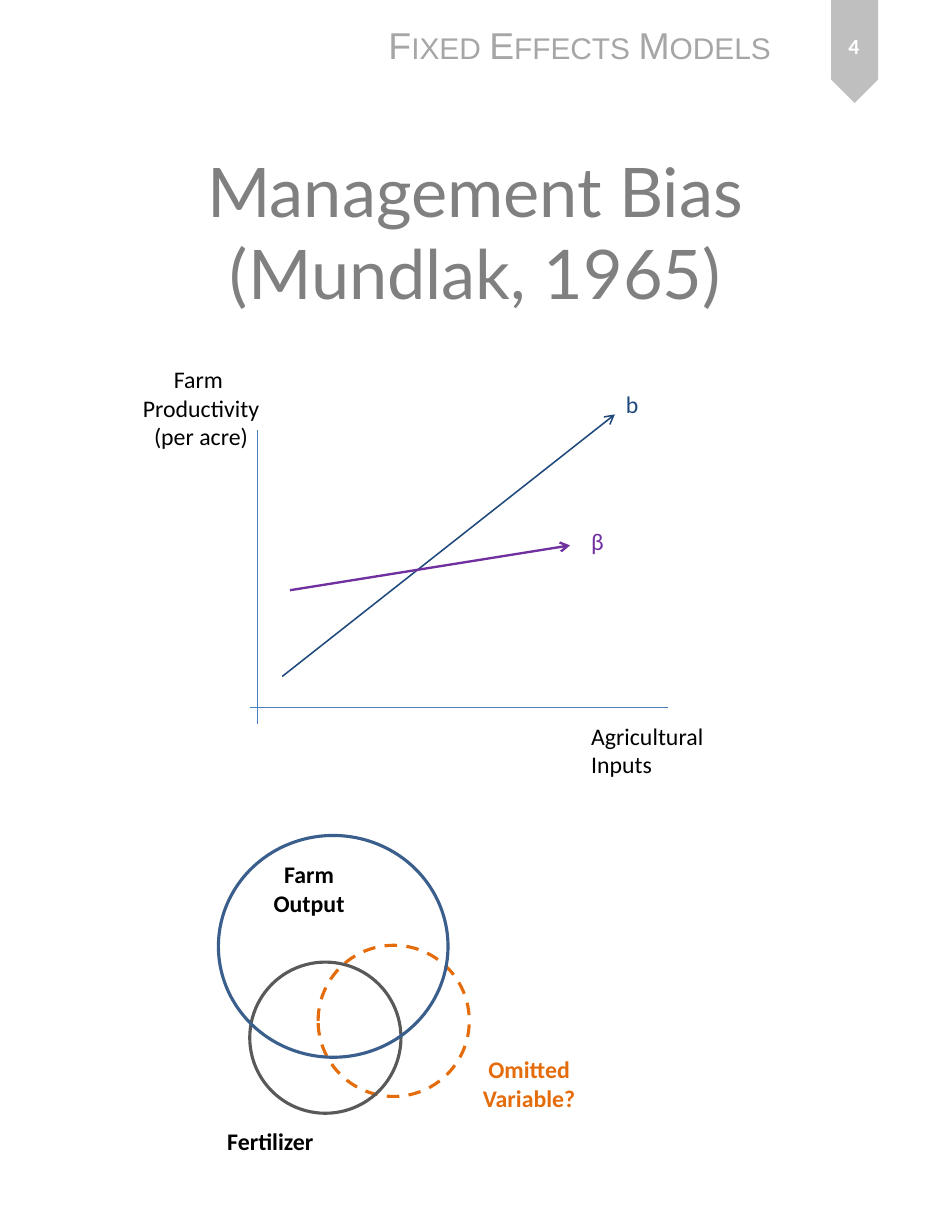
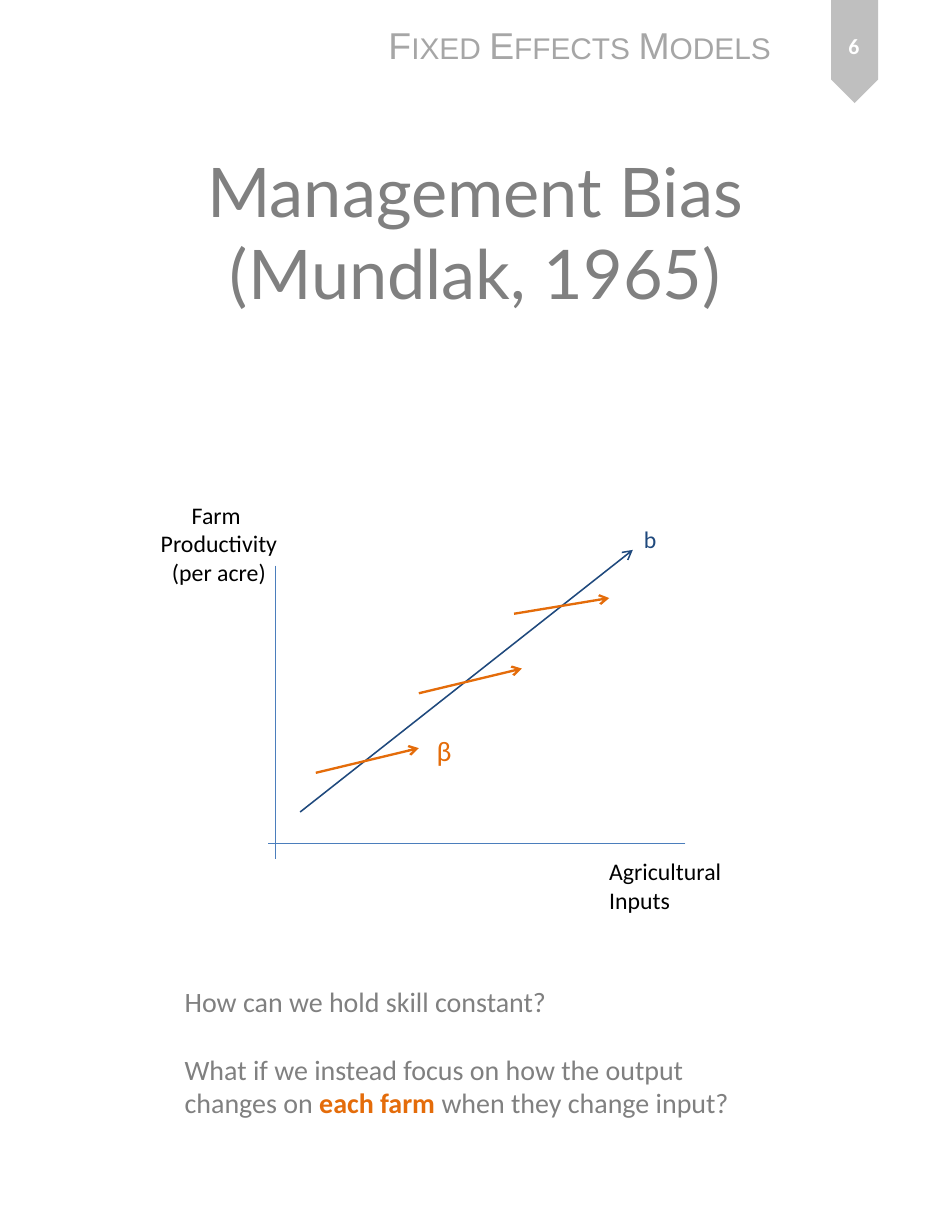
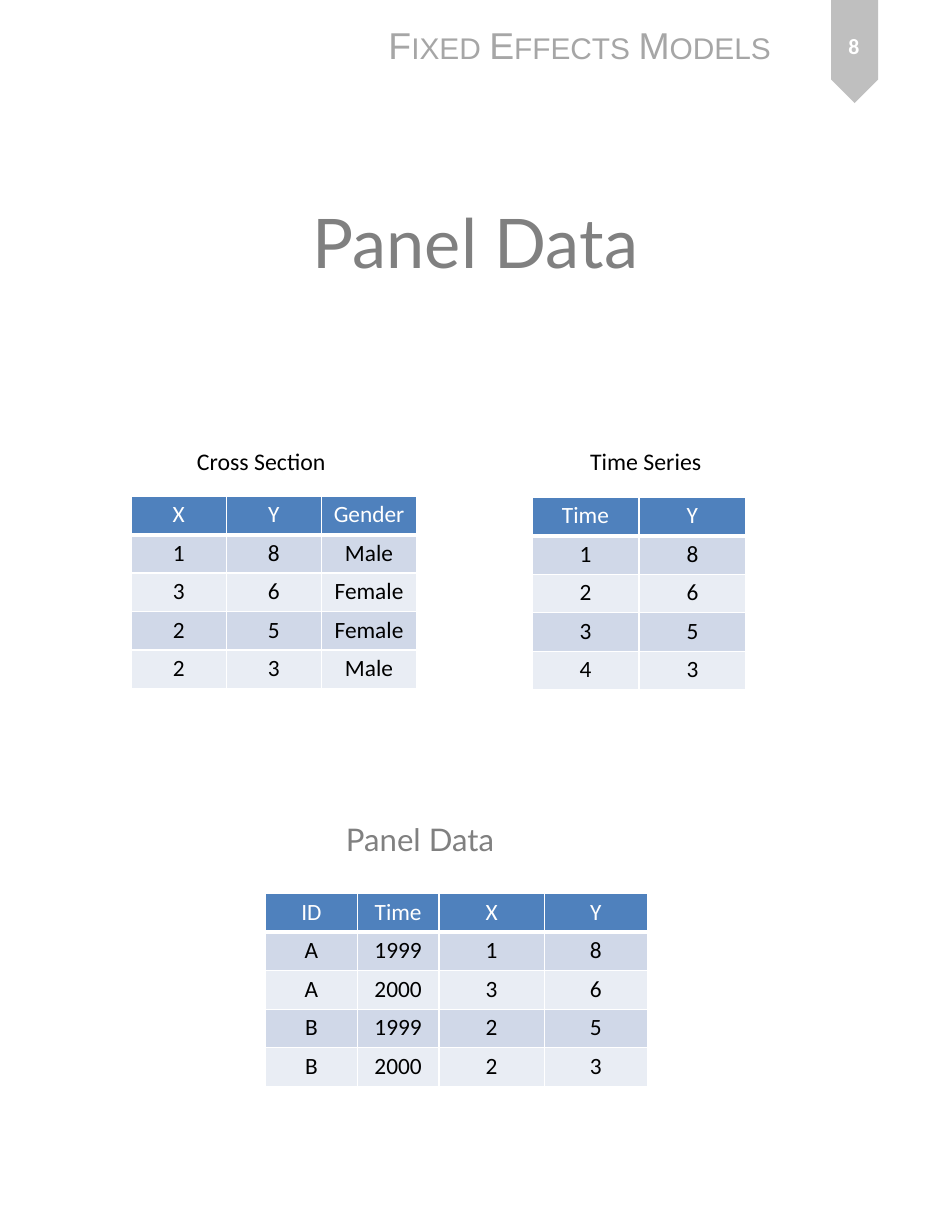
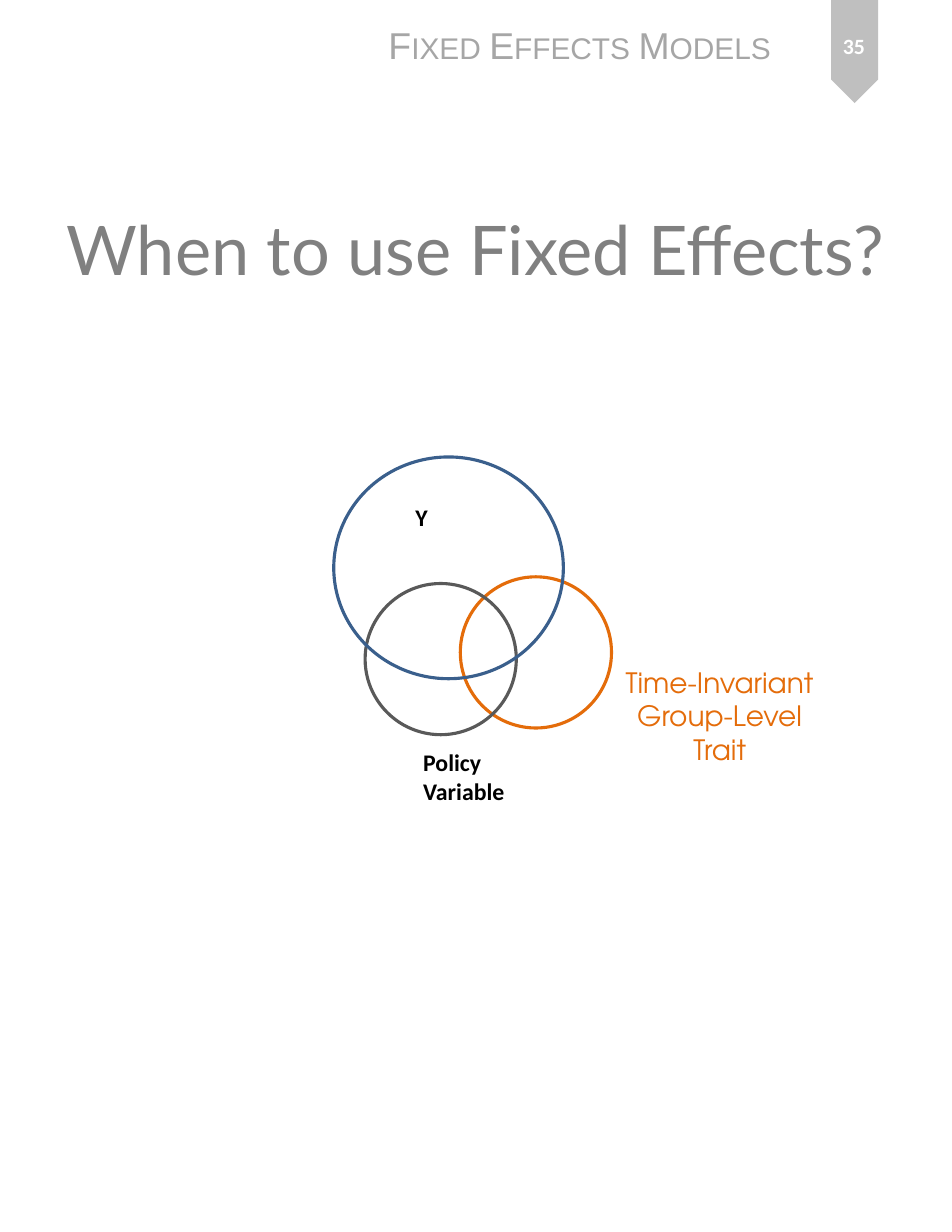
from lxml.etree import SubElement
from pptx import Presentation
from pptx.dml.color import RGBColor
from pptx.enum.dml import MSO_LINE
from pptx.enum.shapes import MSO_CONNECTOR, MSO_SHAPE
from pptx.enum.text import MSO_ANCHOR, PP_ALIGN
from pptx.oxml.ns import qn
from pptx.util import Inches, Pt

BLACK = "000000"
WHITE = "FFFFFF"
GRAY = "808080"
HEADER_GRAY = "A6A6A6"
RIBBON_GRAY = "BFBFBF"
DARK_GRAY = "595959"
ORANGE = "E46C0A"
PURPLE = "7030A0"
NAVY = "1F497D"
AXIS_BLUE = "4B7EBC"
CIRCLE_BLUE = "3A5F8C"
TABLE_BLUE = "4F81BD"
BANDS = ["D0D8E8", "E9EDF4"]

BODY_FONT = "Calibri"
TITLE_FONT = "Lato"
LABEL_SIZE = 15.3
ROW_HEIGHT = 0.344


def color(value):
    return RGBColor.from_string(value)


def format_run(run, size, shade, font, bold=False):
    run.font.size = Pt(size)
    run.font.color.rgb = color(shade)
    run.font.name = font
    run.font.bold = bold


def add_text(slide, box, lines, size=LABEL_SIZE, shade=BLACK, font=BODY_FONT,
             bold=False, align=PP_ALIGN.LEFT, anchor=MSO_ANCHOR.TOP, wrap=False):
    frame = slide.shapes.add_textbox(*map(Inches, box)).text_frame
    frame.word_wrap = wrap
    frame.vertical_anchor = anchor
    for index, line in enumerate(lines):
        paragraph = frame.add_paragraph() if index else frame.paragraphs[0]
        paragraph.text = line
        paragraph.alignment = align
        for run in paragraph.runs:
            format_run(run, size, shade, font, bold)
    return frame


def add_line(slide, origin, start, end, shade, width, arrow=False):
    left, top = origin
    points = (left + start[0], top + start[1], left + end[0], top + end[1])
    connector = slide.shapes.add_connector(MSO_CONNECTOR.STRAIGHT, *map(Inches, points))
    connector.line.color.rgb = color(shade)
    connector.line.width = Pt(width)
    if arrow:
        SubElement(connector.line._get_or_add_ln(), qn("a:tailEnd"), type="arrow")
    SubElement(connector._element.spPr, qn("a:effectLst"))


def add_circle(slide, box, shade, dashed=False):
    circle = slide.shapes.add_shape(MSO_SHAPE.OVAL, *map(Inches, box))
    circle.shadow.inherit = False
    circle.fill.background()
    circle.line.color.rgb = color(shade)
    circle.line.width = Pt(2)
    if dashed:
        circle.line.dash_style = MSO_LINE.DASH


def add_page(presentation, title, number, title_top=1.15):
    slide = presentation.slides.add_slide(presentation.slide_layouts[6])
    ribbon = slide.shapes.add_shape(
        MSO_SHAPE.PENTAGON, Inches(7.17), Inches(0.25), Inches(0.92), Inches(0.42))
    ribbon.rotation = 90
    ribbon.shadow.inherit = False
    ribbon.fill.solid()
    ribbon.fill.fore_color.rgb = color(RIBBON_GRAY)
    ribbon.line.fill.background()
    header = add_text(slide, (3.37, 0.15, 3.68, 0.5), ["Fixed Effects Models"],
                      24, HEADER_GRAY, "Arial")
    header.paragraphs[0].runs[0].font._element.set("cap", "small")
    add_text(slide, (0.42, title_top, 7.65, 1.83), [title], 44, GRAY, TITLE_FONT,
             align=PP_ALIGN.CENTER, anchor=MSO_ANCHOR.MIDDLE, wrap=True)
    add_text(slide, (7.29, 0.11, 0.67, 0.59), [str(number)], 14, WHITE, bold=True,
             align=PP_ALIGN.CENTER, anchor=MSO_ANCHOR.MIDDLE, wrap=True)
    return slide


def add_productivity_graph(slide, origin, slopes, slope_shade, beta_box, beta_size):
    left, top = origin
    add_line(slide, origin, (1.13, 0.63), (1.13, 3.25), AXIS_BLUE, 0.75)
    add_line(slide, origin, (4.79, 3.11), (1.06, 3.11), AXIS_BLUE, 0.75)
    add_text(slide, (left + 4.01, top + 3.18, 1.26, 0.62), ["Agricultural \nInputs"])
    add_text(slide, (left, top, 1.25, 0.87), ["Farm \nProductivity\n(per acre)"],
             align=PP_ALIGN.CENTER)
    add_line(slide, origin, (1.35, 2.83), (4.32, 0.49), NAVY, 1, arrow=True)
    for start, end in slopes:
        add_line(slide, origin, start, end, slope_shade, 1.5, arrow=True)
    add_text(slide, (left + 4.32, top + 0.22, 0.31, 0.36), ["b"], shade=NAVY)
    beta_left, beta_top, width, height = beta_box
    add_text(slide, (left + beta_left, top + beta_top, width, height), ["β"],
             beta_size, slope_shade)


def add_venn(slide, origin, third_offset, labels, dashed=False):
    left, top = origin
    add_circle(slide, (left + third_offset[0], top + third_offset[1], 1.35, 1.35),
               ORANGE, dashed)
    add_circle(slide, (left + 0.28, top + 1.13, 1.35, 1.35), DARK_GRAY)
    add_circle(slide, (left, top, 2.05, 1.98), CIRCLE_BLUE)
    for (x, y, width, height), lines, style in labels:
        add_text(slide, (left + x, top + y, width, height), lines, **style)


def set_borders(cell, bottom_width):
    properties = cell._tc.get_or_add_tcPr()
    for side in "LRTB":
        width = bottom_width if side == "B" else 1
        border = SubElement(properties, qn(f"a:ln{side}"), w=str(Pt(width)))
        fill = SubElement(border, qn("a:solidFill"))
        SubElement(fill, qn("a:srgbClr"), val=WHITE)


def add_data_table(slide, origin, widths, rows):
    box = (*origin, sum(widths), ROW_HEIGHT * len(rows))
    table = slide.shapes.add_table(len(rows), len(widths), *map(Inches, box)).table
    for column, width in zip(table.columns, widths):
        column.width = Inches(width)
    for row_index, values in enumerate(rows):
        is_header = row_index == 0
        for column_index, value in enumerate(values):
            cell = table.cell(row_index, column_index)
            set_borders(cell, 3 if is_header else 1)
            cell.fill.solid()
            cell.fill.fore_color.rgb = color(
                TABLE_BLUE if is_header else BANDS[(row_index - 1) % 2])
            cell.margin_left = cell.margin_right = Inches(0.09)
            cell.margin_top = cell.margin_bottom = Inches(0.04)
            paragraph = cell.text_frame.paragraphs[0]
            paragraph.text = value
            paragraph.alignment = PP_ALIGN.CENTER
            format_run(paragraph.runs[0], 15, WHITE if is_header else BLACK, BODY_FONT)


def build_bias_slide(presentation):
    slide = add_page(presentation, "Management Bias (Mundlak, 1965)", 4)
    centered = {"bold": True, "align": PP_ALIGN.CENTER}
    add_venn(slide, (1.95, 7.46), (0.89, 0.98), [
        ((0.39, 0.17, 0.84, 0.62), ["Farm\nOutput"], centered),
        ((2.26, 1.91, 1.03, 0.62), ["Omitted\nVariable?"], {**centered, "shade": ORANGE}),
        ((-0.02, 2.55, 0.98, 0.36), ["Fertilizer"], {"bold": True}),
    ], dashed=True)
    add_productivity_graph(slide, (1.17, 3.21), [((1.42, 2.06), (3.92, 1.66))],
                           PURPLE, (4.01, 1.44, 0.32, 0.36), LABEL_SIZE)


def build_farm_slopes_slide(presentation):
    slide = add_page(presentation, "Management Bias (Mundlak, 1965)", 6)
    farm_slopes = [
        ((1.49, 2.48), (2.41, 2.26)),
        ((2.41, 1.77), (3.33, 1.55)),
        ((3.26, 1.06), (4.11, 0.92)),
    ]
    add_productivity_graph(slide, (1.33, 4.42), farm_slopes, ORANGE,
                           (2.47, 2.08, 0.34, 0.4), 18)
    frame = add_text(slide, (1.55, 8.74, 5.42, 1.31), [
        "How can we hold skill constant?",
        "What if we instead focus on how the output changes on ",
    ], 18, GRAY, wrap=True)
    question = frame.paragraphs[1]
    question.space_before = Pt(22)
    for text, shade, bold in [("each farm ", ORANGE, True),
                              ("when they change input?", GRAY, False)]:
        run = question.add_run()
        run.text = text
        format_run(run, 18, shade, BODY_FONT, bold)


def build_panel_slide(presentation):
    slide = add_page(presentation, "Panel Data", 8, 1.24)
    add_text(slide, (1.66, 3.94, 1.36, 0.36), ["Cross Section"])
    add_text(slide, (5.17, 3.94, 1.2, 0.36), ["Time Series"])
    add_text(slide, (2.99, 7.28, 1.82, 0.44), ["Panel Data"], 20, GRAY, TITLE_FONT)
    add_data_table(slide, (1.17, 4.43), [0.85] * 3, [
        ("X", "Y", "Gender"),
        ("1", "8", "Male"),
        ("3", "6", "Female"),
        ("2", "5", "Female"),
        ("2", "3", "Male"),
    ])
    add_data_table(slide, (4.75, 4.44), [0.955] * 2, [
        ("Time", "Y"),
        ("1", "8"),
        ("2", "6"),
        ("3", "5"),
        ("4", "3"),
    ])
    add_data_table(slide, (2.37, 7.98), [0.82, 0.73, 0.94, 0.92], [
        ("ID", "Time", "X", "Y"),
        ("A", "1999", "1", "8"),
        ("A", "2000", "3", "6"),
        ("B", "1999", "2", "5"),
        ("B", "2000", "2", "3"),
    ])


def build_usage_slide(presentation):
    slide = add_page(presentation, "When to use Fixed Effects?", 35, 1.3)
    trait_style = {"size": 18, "shade": ORANGE, "font": "TeX Gyre Adventor",
                   "align": PP_ALIGN.CENTER}
    add_venn(slide, (2.98, 4.08), (1.13, 1.07), [
        ((0.63, 0.36, 0.31, 0.36), ["Y"], {"bold": True}),
        ((2.49, 1.81, 1.91, 1.01), ["Time-Invariant\nGroup-Level", "Trait"], trait_style),
        ((0.7, 2.55, 0.93, 0.62), ["Policy\nVariable"], {"bold": True}),
    ])


def main():
    presentation = Presentation()
    presentation.slide_width = Inches(8.5)
    presentation.slide_height = Inches(11)
    build_bias_slide(presentation)
    build_farm_slopes_slide(presentation)
    build_panel_slide(presentation)
    build_usage_slide(presentation)
    presentation.save("out.pptx")


if __name__ == "__main__":
    main()
